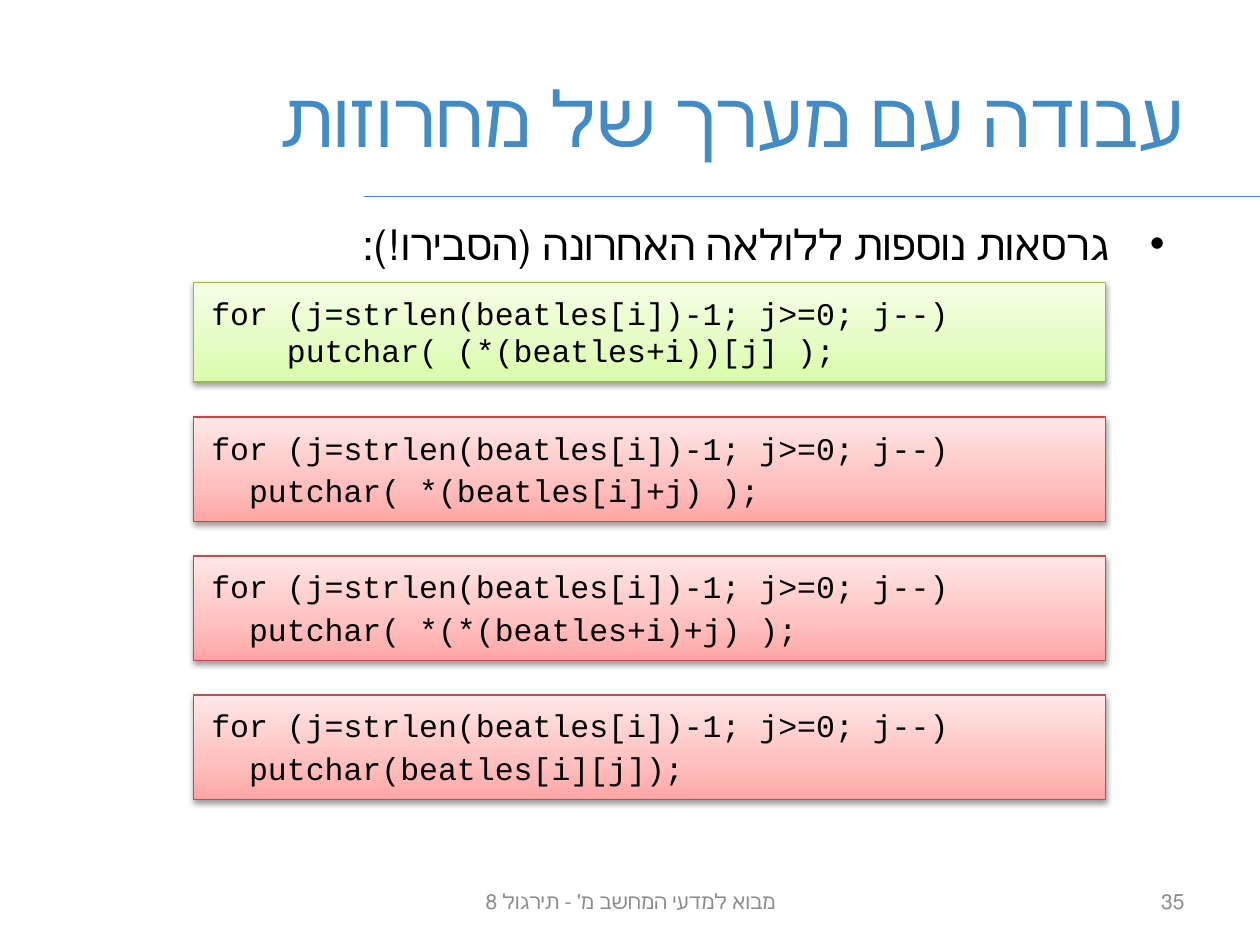
from copy import deepcopy

from lxml import etree
from pptx import Presentation, util as u
from pptx.dml.color import RGBColor
from pptx.enum import shapes, text
from pptx.oxml.ns import qn

COLORS = {"title": "438BC4", "rule": "4B7EBC", "footer": "8C8C8C", "black": "000000"}
GREEN = {"line": "98B955", "stops": ["DAFDA7", "E4FCC2", "F5FFE7"]}
RED = {"line": "BF4C48", "stops": ["FFA6A5", "FFC0BF", "FFE7E7"]}
LOOP = "for (j=strlen(beatles[i])-1; j>=0; j--)"


class SlideBuilder:
    """Hold the style and the current slide."""

    def __init__(self, presentation):
        self.slide = presentation.slides.add_slide(presentation.slide_layouts[1])

    def place(self, shape, box):
        shape.left, shape.top, shape.width, shape.height = (u.Cm(n) for n in box)

    def style(self, paragraph, font, size, color):
        paragraph.font.name = font
        paragraph.font.size = u.Pt(size)
        paragraph.font.color.rgb = RGBColor.from_string(color)

    def write_rtl(self, shape, words, font, size, color, align, anchor):
        frame = shape.text_frame
        frame.word_wrap = True
        frame.auto_size = text.MSO_AUTO_SIZE.NONE
        frame.vertical_anchor = anchor
        paragraph = frame.paragraphs[0]
        paragraph.text = words
        paragraph.alignment = align
        paragraph.space_before = u.Pt(0)
        paragraph._p.get_or_add_pPr().set("rtl", "1")
        self.style(paragraph, font, size, color)
        return paragraph

    def title(self, words, box):
        shape = self.slide.shapes.title
        self.place(shape, box)
        self.write_rtl(shape, words, "Arial", 44, COLORS["title"],
                       text.PP_ALIGN.RIGHT, text.MSO_ANCHOR.MIDDLE)

    def bullet(self, words, box):
        shape = self.slide.placeholders[1]
        self.place(shape, box)
        paragraph = self.write_rtl(shape, words, "Times New Roman", 24, COLORS["black"],
                                   text.PP_ALIGN.RIGHT, text.MSO_ANCHOR.TOP)
        properties = paragraph._p.get_or_add_pPr()
        properties.set("marL", str(u.Cm(1.12)))
        properties.set("indent", str(-u.Cm(1.12)))

    def footer(self, words, box, align):
        shape = self.slide.shapes.add_textbox(*(u.Cm(n) for n in box))
        self.write_rtl(shape, words, "Calibri", 12, COLORS["footer"],
                       align, text.MSO_ANCHOR.MIDDLE)

    def rule(self, start, end, y):
        line = self.slide.shapes.add_connector(
            shapes.MSO_CONNECTOR.STRAIGHT, u.Cm(start), u.Cm(y), u.Cm(end), u.Cm(y))
        line.line.color.rgb = RGBColor.from_string(COLORS["rule"])
        line.line.width = u.Pt(0.75)
        etree.SubElement(line._element.spPr, qn("a:effectLst"))

    def shade(self, shape, stops):
        shape.fill.gradient()
        shape.fill.gradient_angle = 90
        stop_list = shape._element.spPr.find(".//" + qn("a:gsLst"))
        stop_list.insert(1, deepcopy(stop_list[0]))
        for stop, color, position in zip(shape.fill.gradient_stops, stops, (0, 0.35, 1)):
            stop.color.rgb = RGBColor.from_string(color)
            stop.position = position

    def drop_shadow(self, shape):
        shape.shadow.inherit = False
        effects = shape._element.spPr.find(qn("a:effectLst"))
        shadow = etree.SubElement(effects, qn("a:outerShdw"), blurRad=str(u.Pt(3.1)),
                                  dist=str(u.Pt(1.6)), dir="5400000", rotWithShape="0")
        color = etree.SubElement(shadow, qn("a:srgbClr"), val=COLORS["black"])
        etree.SubElement(color, qn("a:alpha"), val="38000")

    def code(self, lines, box, palette, gap):
        shape = self.slide.shapes.add_shape(
            shapes.MSO_SHAPE.RECTANGLE, *(u.Cm(n) for n in box))
        self.shade(shape, palette["stops"])
        shape.line.color.rgb = RGBColor.from_string(palette["line"])
        shape.line.width = u.Pt(0.75)
        self.drop_shadow(shape)
        frame = shape.text_frame
        frame.word_wrap = True
        frame.vertical_anchor = text.MSO_ANCHOR.TOP
        frame.margin_left = frame.margin_right = u.Cm(0.36)
        frame.margin_top = frame.margin_bottom = u.Cm(0.23)
        for index, line in enumerate(lines):
            paragraph = frame.add_paragraph() if index else frame.paragraphs[0]
            paragraph.text = line
            paragraph.alignment = text.PP_ALIGN.LEFT
            paragraph.line_spacing = u.Pt(21.6)
            paragraph.space_before = u.Pt(gap if index else 0)
            self.style(paragraph, "Courier New", 18, COLORS["black"])


def main():
    presentation = Presentation()
    presentation.slide_width, presentation.slide_height = u.Cm(25.4), u.Cm(19.05)
    builder = SlideBuilder(presentation)
    builder.rule(25.4, 7.34, 3.96)
    builder.title("עבודה עם מערך של מחרוזות", (1.27, 0.76, 22.86, 3.18))
    builder.footer("מבוא למדעי המחשב מ' - תירגול 8", (8.69, 17.65, 8.05, 1.02),
                   text.PP_ALIGN.CENTER)
    builder.footer("35", (18.21, 17.65, 5.92, 1.02), text.PP_ALIGN.RIGHT)
    builder.bullet("גרסאות נוספות ללולאה האחרונה (הסבירו!):", (2.11, 4.27, 21.62, 1.27))
    builder.code([LOOP, "    putchar( (*(beatles+i))[j] );"],
                 (3.9, 5.69, 18.39, 2.01), GREEN, 0)
    calls = ["putchar( *(beatles[i]+j) );", "putchar( *(*(beatles+i)+j) );",
             "putchar(beatles[i][j]);"]
    for row, call in enumerate(calls):
        builder.code([LOOP, "  " + call], (3.9, 8.41 + 2.8 * row, 18.39, 2.11), RED, 2.7)
    presentation.save("out.pptx")


if __name__ == "__main__":
    main()
